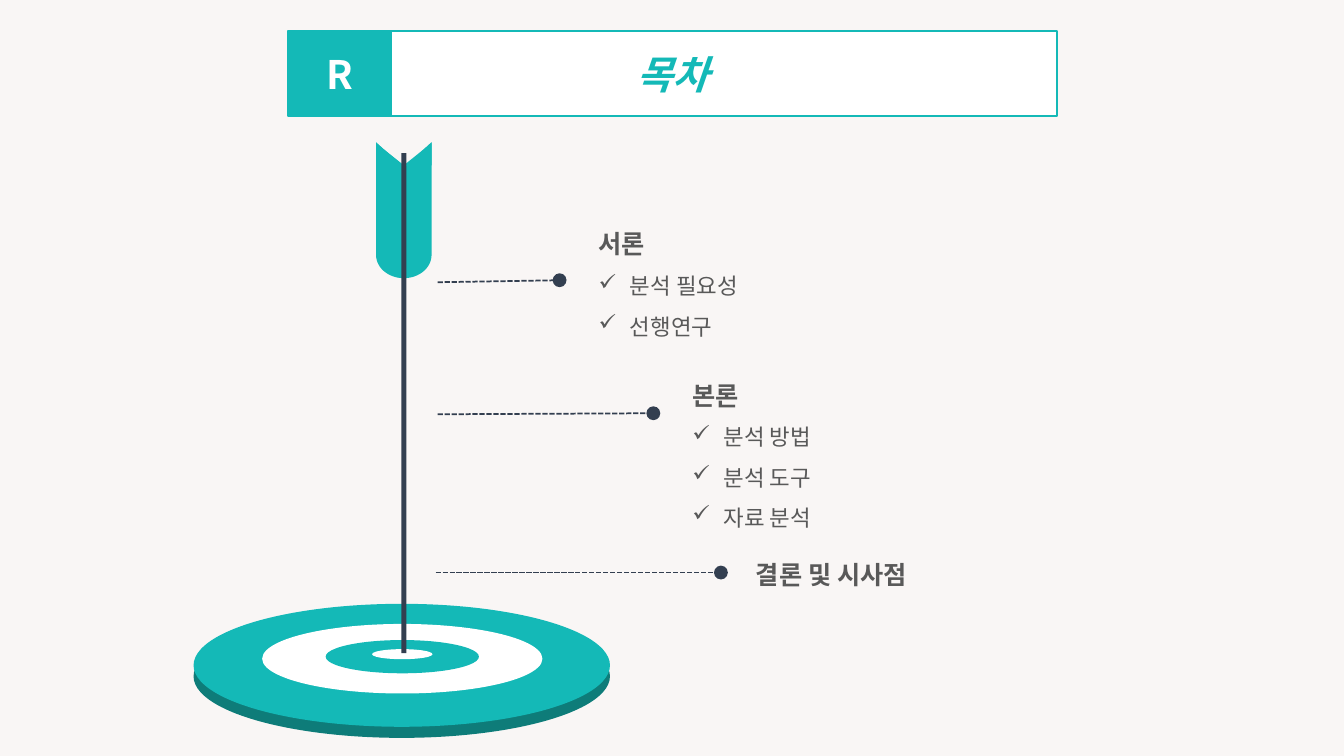
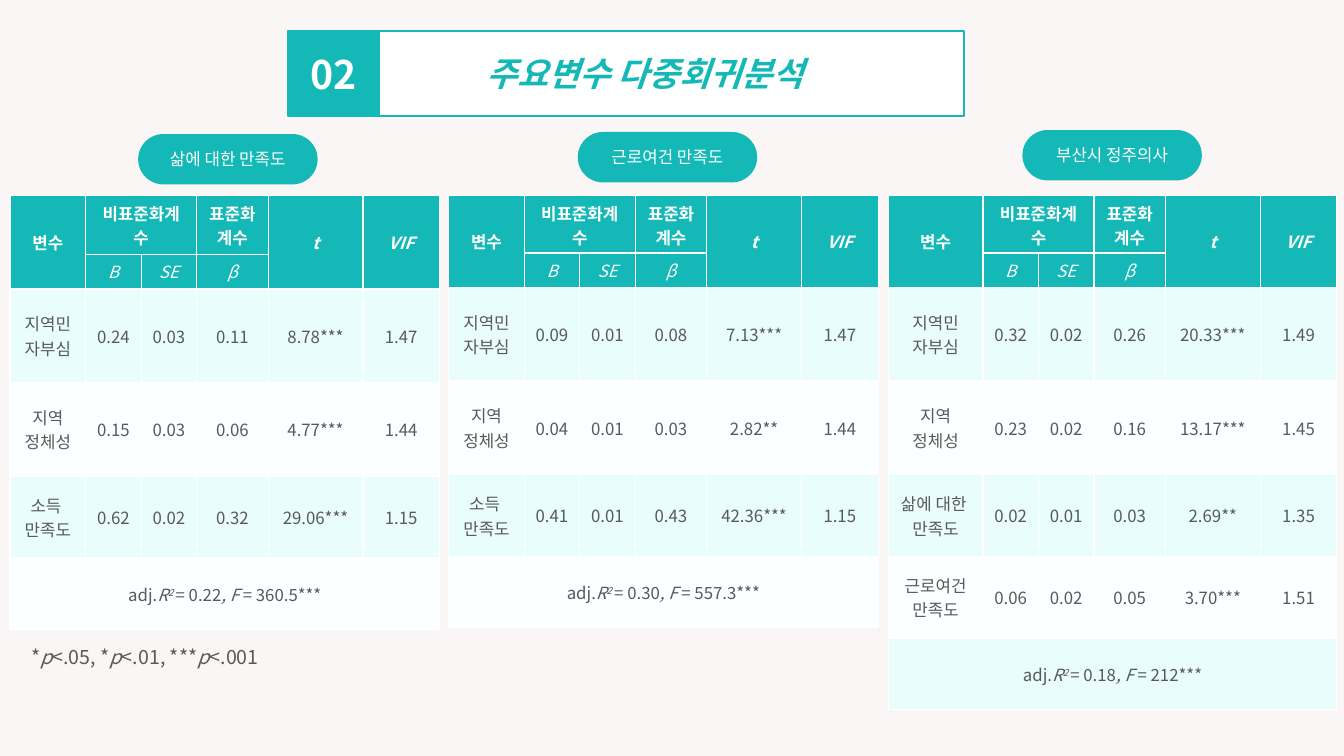
import math

from lxml import etree
from pptx import Presentation
from pptx.dml.color import RGBColor
from pptx.enum import dml, shapes, text
from pptx.oxml import ns
from pptx.util import Inches, Pt

FONT = "Noto Sans CJK KR"
TEAL = RGBColor(0x14, 0xB9, 0xB7)
DEEP_TEAL = RGBColor(0x0E, 0x7C, 0x79)
NAVY = RGBColor(0x33, 0x3F, 0x50)
GRAY = RGBColor(0x59, 0x59, 0x59)
WHITE = RGBColor(0xFF, 0xFF, 0xFF)
PAPER = RGBColor(0xF9, 0xF6, 0xF5)
BANDS = RGBColor(0xE9, 0xFD, 0xFC), RGBColor(0xFB, 0xFF, 0xFF)
SHAPE = shapes.MSO_SHAPE
CENTER = text.PP_ALIGN.CENTER
MIDDLE = text.MSO_ANCHOR.MIDDLE


def box(*lengths):
    return [Inches(v) for v in lengths]


def child(parent, tag, **attrs):
    return etree.SubElement(parent, ns.qn(tag), attrs)


def add_run(p, words, size, color, bold=False, italic=False, raised=False):
    r = p.add_run()
    r.text = words
    f = r.font
    f.size, f.bold, f.italic, f.name = Pt(size), bold, italic, FONT
    f.color.rgb = color
    rPr = r._r.get_or_add_rPr()
    child(rPr, "a:ea", typeface=FONT)
    if raised:
        rPr.set("baseline", "30000")


def paint(sp, fill, line=None, width=1):
    sp.shadow.inherit = False
    sp.fill.solid()
    sp.fill.fore_color.rgb = fill
    if line is None:
        sp.line.fill.background()
    else:
        sp.line.color.rgb = line
        sp.line.width = Pt(width)
    return sp


def add_shape(parent, kind, at, fill, line=None, width=1):
    return paint(parent.add_shape(kind, *box(*at)), fill, line, width)


def add_label(sp, words, size, color, **style):
    tf = sp.text_frame
    tf.word_wrap = True
    tf.vertical_anchor = MIDDLE
    p = tf.paragraphs[0]
    p.alignment = CENTER
    add_run(p, words, size, color, **style)
    return tf


def add_text_box(s, x, y, w, h):
    tf = s.shapes.add_textbox(*box(x, y, w, h)).text_frame
    tf.word_wrap = True
    tf.auto_size = text.MSO_AUTO_SIZE.SHAPE_TO_FIT_TEXT
    tf.paragraphs[0].line_spacing = 1.5
    return tf


def add_title(s, mark, title, w, mark_w, size, inset=0.1):
    x, y, h = 2.86, 0.31, 0.84
    g = s.shapes.add_group_shape().shapes
    frame = add_shape(g, SHAPE.RECTANGLE, (x, y, w, h), WHITE, TEAL, 1.5)
    tf = add_label(frame, title, size, TEAL, bold=True, italic=True)
    tf.margin_left = Inches(inset)
    tab = add_shape(g, SHAPE.RECTANGLE, (x, y, mark_w, h), TEAL, TEAL)
    add_label(tab, mark, 28, WHITE, bold=True)


def add_target(s, x, y):
    g = s.shapes.add_group_shape().shapes
    rings = [(0, 0.11, 4.13, 1.22, DEEP_TEAL), (0, 0, 4.13, 1.22, TEAL),
             (0.68, 0.2, 2.78, 0.69, WHITE), (1.31, 0.36, 1.52, 0.33, TEAL),
             (1.77, 0.45, 0.6, 0.1, WHITE)]
    for dx, dy, w, h, color in rings:
        add_shape(g, SHAPE.OVAL, (x + dx, y + dy, w, h), color)


def add_dart(s, cx, y):
    g = s.shapes.add_group_shape().shapes
    half, notch, straight, tip = 0.275, 0.22, 1.11, 0.23
    angles = [math.radians(a) for a in range(0, 91, 6)]
    for side in (-1, 1):
        curve = [(half * math.cos(a), straight + tip * math.sin(a)) for a in angles]
        outline = [(Inches(cx + side * dx), Inches(y + dy))
                   for dx, dy in [(half, 0)] + curve + [(0, notch)]]
        feather = g.build_freeform(*outline[0])
        feather.add_line_segments(outline[1:], close=True)
        paint(feather.convert_to_shape(), TEAL)
    add_shape(g, SHAPE.RECTANGLE, (cx - 0.025, y + 0.1, 0.05, 4.96), NAVY)
    for side, turn in ((1, 270), (-1, 90)):
        barb = add_shape(g, SHAPE.RIGHT_TRIANGLE,
                         (cx + side * 0.15 - 0.115, y - 0.02, 0.23, 0.25), TEAL)
        barb.rotation = turn
        if side < 0:
            barb._element.spPr.xfrm.set("flipH", "1")


def add_pointer(s, x1, y1, x2, y2):
    line = s.shapes.add_connector(shapes.MSO_CONNECTOR.STRAIGHT, *box(x1, y1, x2, y2))
    line.line.color.rgb = NAVY
    line.line.width = Pt(1.25)
    line.line.dash_style = dml.MSO_LINE.SQUARE_DOT
    child(line.line._get_or_add_ln(), "a:tailEnd", type="oval", w="lg", len="lg")
    child(line._element.spPr, "a:effectLst")


def add_section(s, x, y, h, heading, items):
    tf = add_text_box(s, x, y, 2.77, h)
    add_run(tf.paragraphs[0], heading, 18, GRAY, bold=True)
    for item in items:
        p = tf.add_paragraph()
        p.line_spacing = 1.5
        pPr = p._p.get_or_add_pPr()
        pPr.set("marL", str(Inches(0.31)))
        pPr.set("indent", str(-Inches(0.31)))
        child(pPr, "a:buChar", char="✓")
        add_run(p, item, 16, GRAY)


def fill_cell(cell, color, paragraphs, anchor=MIDDLE):
    tcPr = cell._tc.get_or_add_tcPr()
    for edge in "LRTB":
        ln = child(tcPr, "a:ln" + edge, w=str(Pt(1)))
        child(child(ln, "a:solidFill"), "a:srgbClr", val=str(WHITE))
    cell.fill.solid()
    cell.fill.fore_color.rgb = color
    cell.vertical_anchor = anchor
    tf = cell.text_frame
    for i, runs in enumerate(paragraphs):
        p = tf.add_paragraph() if i else tf.paragraphs[0]
        p.alignment = CENTER
        for words, style in runs:
            add_run(p, words, 12, **style)


def add_regression(s, x, y, name_w, rows, r2, f_value):
    widths = [name_w, 0.55, 0.55, 0.71, 0.94, 0.76]
    heights = [0.57, 0.34, 0.93, 0.93] + [0.81] * (len(rows) - 2) + [0.71]
    frame = s.shapes.add_table(len(heights), len(widths),
                               *box(x, y, sum(widths), sum(heights)))
    table = frame.table
    table.first_row = table.horz_banding = False
    for column, w in zip(table.columns, widths):
        column.width = Inches(w)
    for row, h in zip(table.rows, heights):
        row.height = Inches(h)
    last = len(heights) - 1
    for r1, c1, r2_, c2 in [(0, 0, 1, 0), (0, 1, 0, 2), (0, 4, 1, 4),
                            (0, 5, 1, 5), (last, 0, last, 5)]:
        table.cell(r1, c1).merge(table.cell(r2_, c2))

    head = dict(color=WHITE, bold=True)
    symbol = dict(color=WHITE, italic=True)
    titles = ["변수", "비표준화계수", "", "표준화 계수", "t", "VIF"]
    for c, title in enumerate(titles):
        style = dict(head, italic=c > 3)
        fill_cell(table.cell(0, c), TEAL, [[(title, style)]] if title else [])
    for c, sign in enumerate(["", "B", "SE", "β", "", ""]):
        fill_cell(table.cell(1, c), TEAL, [[(sign, symbol)]] if sign else [],
                  text.MSO_ANCHOR.TOP)

    body, slanted = dict(color=GRAY), dict(color=GRAY, italic=True)
    for r, values in enumerate(rows, 2):
        for c, value in enumerate(values):
            fill_cell(table.cell(r, c), BANDS[r % 2],
                      [[(part, body)] for part in value.split("\n")])
    fit = [("adj.", body), ("R", slanted), ("2 ", dict(slanted, raised=True)),
           ("= " + r2, body), (", F ", slanted), ("= " + f_value, body)]
    for c in range(len(widths)):
        fill_cell(table.cell(last, c), BANDS[last % 2], [] if c else [fit])


def add_pill(s, x, y, words):
    pill = add_shape(s.shapes, SHAPE.ROUNDED_RECTANGLE, (x, y, 1.78, 0.5), TEAL)
    pill.adjustments[0] = 0.5
    add_label(pill, words, 12, WHITE)


def add_note(s, x, y):
    p = add_text_box(s, x, y, 4.65, 0.86).paragraphs[0]
    for i, words in enumerate(["*", "p", "<.05, *", "p", "<.01, ***", "p", "<.001"]):
        add_run(p, words, 14, GRAY, italic=i % 2 == 1)


def new_slide(prs):
    s = prs.slides.add_slide(prs.slide_layouts[6])
    s.background.fill.solid()
    s.background.fill.fore_color.rgb = PAPER
    return s


def contents_slide(prs):
    s = new_slide(prs)
    add_title(s, "R", "목차", 7.62, 1.02, 28)
    add_target(s, 1.92, 5.99)
    add_dart(s, 4.005, 1.42)
    for ends in [(4.34, 2.8, 5.55, 2.78), (4.34, 4.11, 6.48, 4.1),
                 (4.32, 5.68, 7.15, 5.68)]:
        add_pointer(s, *ends)
    add_section(s, 5.84, 2.07, 1.36, "서론", ["분석 필요성", "선행연구"])
    add_section(s, 6.77, 3.57, 1.77, "본론", ["분석 방법", "분석 도구", "자료 분석"])
    add_section(s, 7.4, 5.35, 0.56, "결론 및 시사점", [])


def regression_slide(prs):
    s = new_slide(prs)
    add_title(s, "02", "주요변수 다중회귀분석", 6.7, 0.9, 24, inset=0.47)
    pride, identity, income = "지역민\n자부심", "지역\n정체성", "소득 \n만족도"
    life, work = "삶에 대한 \n만족도", "근로여건\n만족도"
    add_regression(s, 0.1, 1.94, 0.75, [
        (pride, "0.24", "0.03", "0.11", "8.78***", "1.47"),
        (identity, "0.15", "0.03", "0.06", "4.77***", "1.44"),
        (income, "0.62", "0.02", "0.32", "29.06***", "1.15"),
    ], "0.22", "360.5***")
    add_note(s, 0.21, 6.23)
    add_regression(s, 4.45, 1.94, 0.75, [
        (pride, "0.09", "0.01", "0.08", "7.13***", "1.47"),
        (identity, "0.04", "0.01", "0.03", "2.82**", "1.44"),
        (income, "0.41", "0.01", "0.43", "42.36***", "1.15"),
    ], "0.30", "557.3***")
    add_regression(s, 8.81, 1.94, 0.94, [
        (pride, "0.32", "0.02", "0.26", "20.33***", "1.49"),
        (identity, "0.23", "0.02", "0.16", "13.17***", "1.45"),
        (life, "0.02", "0.01", "0.03", "2.69**", "1.35"),
        (work, "0.06", "0.02", "0.05", "3.70***", "1.51"),
    ], "0.18", "212***")
    add_pill(s, 1.37, 1.33, "삶에 대한 만족도")
    add_pill(s, 5.73, 1.31, "근로여건 만족도")
    add_pill(s, 10.14, 1.29, "부산시 정주의사")


prs = Presentation()
prs.slide_width, prs.slide_height = box(13.33, 7.5)
contents_slide(prs)
regression_slide(prs)
prs.save("out.pptx")
